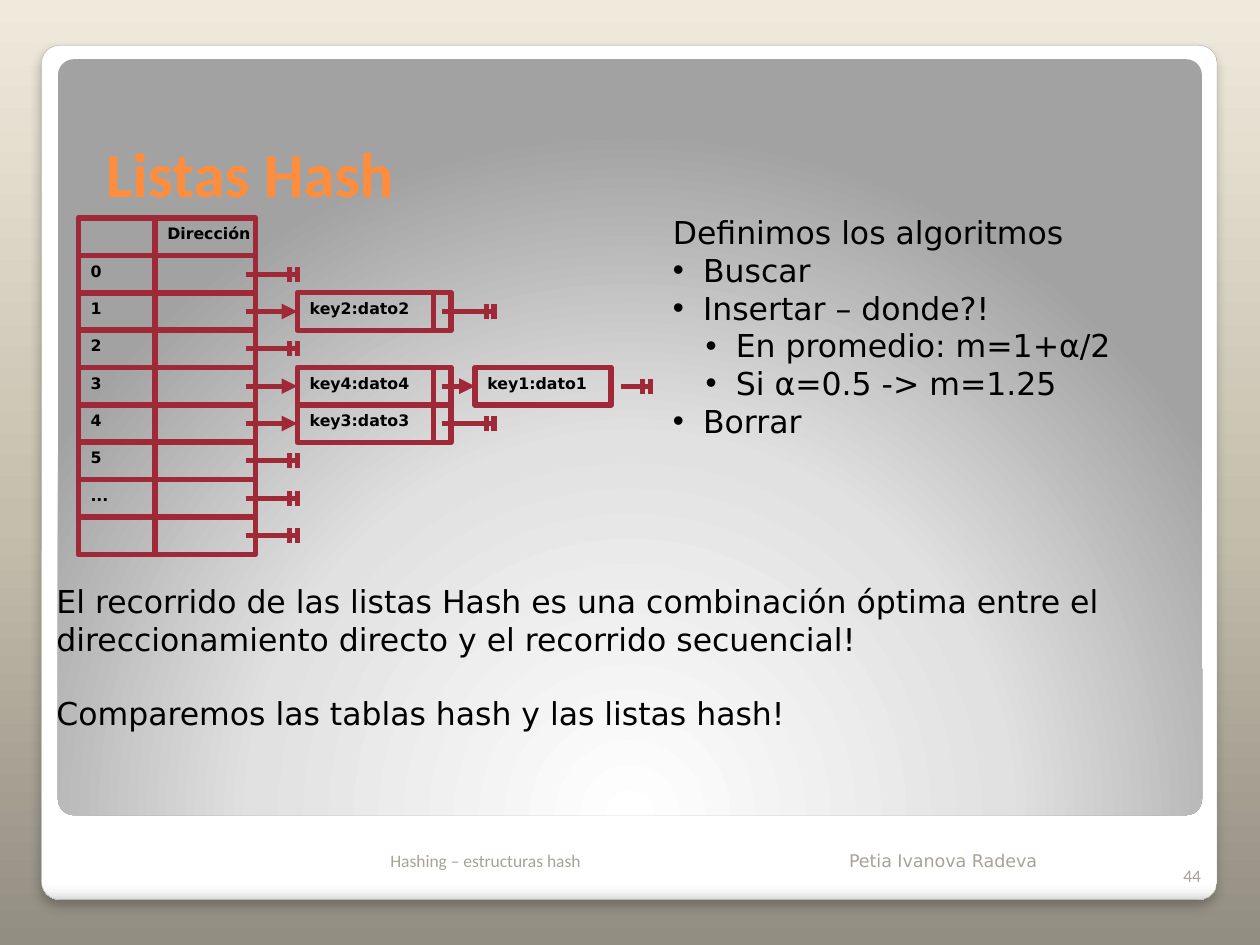
from lxml.etree import SubElement
from pptx import Presentation
from pptx.dml.color import RGBColor
from pptx.enum.shapes import MSO_CONNECTOR, MSO_SHAPE
from pptx.enum.text import MSO_ANCHOR, MSO_AUTO_SIZE, PP_ALIGN
from pptx.oxml import parse_xml
from pptx.oxml.ns import nsdecls, qn
from pptx.util import Inches, Pt

RED = "9F2936"
GREY = "A7A399"
SANS = "DejaVu Sans"
TOP, ROW_H = 1.73, 2.37 / 8
KEY_X, KEY_W = 0.62, 0.61
ADDR_X, ADDR_W = 1.23, 0.8
NODE_X, NODE_W, NEXT_W = 2.36, 1.08, 0.14
ROWS = ["", "0", "1", "2", "3", "4", "5", "...", ""]
NODES = {2: "key2:dato2", 4: "key4:dato4", 5: "key3:dato3"}
ITEMS = [
    ("Definimos los algoritmos", None),
    ("Buscar", 0),
    ("Insertar – donde?!", 0),
    ("En promedio: m=1+α/2", 1),
    ("Si α=0.5 -> m=1.25", 1),
    ("Borrar", 0),
]


def color(value):
    """Turn a hex string into a colour."""
    return RGBColor.from_string(value)


def box(left, top, width, height):
    """Convert a frame in inches to lengths."""
    return [Inches(v) for v in (left, top, width, height)]


def place(shape, left, top, width, height):
    """Move and size a placeholder."""
    shape.left, shape.top, shape.width, shape.height = box(left, top, width, height)


def add_run(p, text, size, hex_color, font=SANS, bold=False):
    """Add one formatted run to a paragraph."""
    r = p.add_run()
    r.text = text
    r.font.size, r.font.name, r.font.bold = Pt(size), font, bold
    r.font.color.rgb = color(hex_color)


def set_gradient(element, fill, stops, direction):
    """Replace a solid fill with a gradient of several stops."""
    fill.solid()
    gs = "".join(
        f'<a:gs pos="{pos * 1000}"><a:srgbClr val="{c}"/></a:gs>' for pos, c in stops
    )
    grad = parse_xml(
        f'<a:gradFill {nsdecls("a")} rotWithShape="1"><a:gsLst>{gs}</a:gsLst>'
        f"{direction}</a:gradFill>"
    )
    solid = element.find(".//" + qn("a:solidFill"))
    solid.getparent().replace(solid, grad)


def add_panel(s, frame, stops, direction):
    """Add a rounded panel with a gradient fill."""
    sp = s.shapes.add_shape(MSO_SHAPE.ROUNDED_RECTANGLE, *box(*frame))
    sp.adjustments[0] = 0.021
    sp.shadow.inherit = False
    sp.line.fill.background()
    set_gradient(sp.element, sp.fill, stops, direction)
    return sp


def add_backdrop(s):
    """Draw the background and the two panels."""
    set_gradient(
        s.element, s.background.fill,
        [(0, "938E82"), (45, "C4BEAD"), (100, "F0EADC")], '<a:lin ang="16200000"/>',
    )
    card = add_panel(
        s, (0.33, 0.36, 9.33, 6.78),
        [(0, "FFFFFF"), (98, "FFFFFF"), (99, "F7F7F7"), (100, "DADADA")],
        '<a:lin ang="5400000"/>',
    )
    card.line.color.rgb = color("A4A4A4")
    card.line.width = Pt(0.16)
    card.element.spPr.find(qn("a:effectLst")).append(parse_xml(
        f'<a:outerShdw {nsdecls("a")} blurRad="{Pt(6)}" dist="{Pt(4)}" dir="5400000">'
        '<a:srgbClr val="000000"><a:alpha val="25000"/></a:srgbClr></a:outerShdw>'
    ))
    panel = add_panel(
        s, (0.46, 0.47, 9.08, 6),
        [(0, "FFFFFF"), (55, "E1E1E1"), (100, "A2A2A2")],
        '<a:path path="circle">'
        '<a:fillToRect l="50000" t="175000" r="50000" b="-75000"/></a:path>',
    )
    for i, sp in enumerate((card, panel)):
        s.shapes.element.insert(2 + i, sp.element)


def add_cell(shapes, left, top, width, text=""):
    """Add an outlined cell with an optional label."""
    sp = shapes.add_shape(MSO_SHAPE.RECTANGLE, *box(left, top, width, 0.3))
    sp.shadow.inherit = False
    sp.fill.background()
    sp.line.color.rgb = color(RED)
    sp.line.width = Pt(3)
    if text:
        tf = sp.text_frame
        tf.word_wrap = True
        tf.margin_right = 0
        tf.vertical_anchor = MSO_ANCHOR.TOP
        p = tf.paragraphs[0]
        p.alignment = PP_ALIGN.LEFT
        add_run(p, text, 9, "000000", bold=True)
    return sp


def add_line(shapes, x1, y1, x2, y2):
    """Add a straight red line."""
    c = shapes.add_connector(MSO_CONNECTOR.STRAIGHT, *box(x1, y1, x2, y2))
    c.line.color.rgb = color(RED)
    c.line.width = Pt(3)
    SubElement(c.element.spPr, qn("a:effectLst"))
    return c


def add_link(shapes, x, y, node):
    """Add an arrow to the left side of a node."""
    c = add_line(shapes, x, y, x + 0.41, y)
    c.end_connect(node, 1)
    SubElement(c.line._get_or_add_ln(), qn("a:tailEnd")).set("type", "triangle")


def add_null(shapes, x, y, length=0.41):
    """Add a line closed by two ticks for an empty pointer."""
    end = x + length
    add_line(shapes, x, y, end, y)
    for tick in (end - 0.06, end):
        add_line(shapes, tick, y + 0.06, tick, y - 0.06)


def add_hash_table(s):
    """Draw the address table and its linked lists."""
    shapes = s.shapes.add_group_shape().shapes
    for i, key in enumerate(ROWS):
        top = TOP + i * ROW_H
        mid = top + 0.15
        add_cell(shapes, KEY_X, top, KEY_W, key)
        add_cell(shapes, ADDR_X, top, ADDR_W, "" if i else "Dirección")
        if i in NODES:
            node = add_cell(shapes, NODE_X, top, NODE_W, NODES[i])
            add_cell(shapes, NODE_X + NODE_W, top, NEXT_W)
            add_link(shapes, 1.95, mid, node)
            if i == 4:
                last = add_cell(shapes, 3.77, top, NODE_W, "key1:dato1")
                add_link(shapes, 3.51, mid, last)
                add_null(shapes, 4.93, mid, 0.23)
            else:
                add_null(shapes, 3.51, mid)
        elif i:
            add_null(shapes, 1.95, mid)


def fill_title(title):
    """Set the slide title."""
    place(title, 0.74, 0.72, 8.2, 1)
    tf = title.text_frame
    tf.vertical_anchor = MSO_ANCHOR.BOTTOM
    p = tf.paragraphs[0]
    p.alignment = PP_ALIGN.LEFT
    add_run(p, "Listas Hash", 36, "FF8D3E", "Calibri", True)


def fill_list(body):
    """Fill the list of algorithms."""
    place(body, 5.24, 1.64, 4.45, 3.1)
    tf = body.text_frame
    tf.auto_size = MSO_AUTO_SIZE.NONE
    for i, (text, level) in enumerate(ITEMS):
        p = tf.add_paragraph() if i else tf.paragraphs[0]
        p.space_before = Pt(0)
        p.level = level or 0
        pPr = p._p.get_or_add_pPr()
        bulleted = level is not None
        pPr.set("marL", str(Inches(0.24 + 0.26 * level) if bulleted else 0))
        pPr.set("indent", str(Inches(-0.24) if bulleted else 0))
        if bulleted:
            SubElement(pPr, qn("a:buFont")).set("typeface", "Arial")
            SubElement(pPr, qn("a:buChar")).set("char", "•")
        else:
            SubElement(pPr, qn("a:buNone"))
        add_run(p, text, 18, "000000")


def add_text(s, frame, texts, size, hex_color, font=SANS,
             anchor=MSO_ANCHOR.TOP, align=PP_ALIGN.LEFT):
    """Add a text box whose paragraphs are one line apart."""
    tf = s.shapes.add_textbox(*box(*frame)).text_frame
    tf.word_wrap = True
    tf.vertical_anchor = anchor
    for i, text in enumerate(texts):
        p = tf.add_paragraph() if i else tf.paragraphs[0]
        p.space_before = Pt(21 if i else 0)
        p.alignment = align
        add_run(p, text, size, hex_color, font)


def main():
    """Build the slide and save it."""
    prs = Presentation()
    prs.slide_width, prs.slide_height = Inches(10), Inches(7.5)
    s = prs.slides.add_slide(prs.slide_layouts[1])
    add_backdrop(s)
    fill_title(s.shapes.title)
    add_hash_table(s)
    fill_list(s.placeholders[1])
    add_text(s, (0.35, 4.57, 9.13, 1.6), [
        "El recorrido de las listas Hash es una combinación óptima entre el "
        "direccionamiento directo y el recorrido secuencial!",
        "Comparemos las tablas hash y las listas hash!",
    ], 18, "000000")
    bottom = MSO_ANCHOR.BOTTOM
    add_text(s, (6.64, 6.56, 2.5, 0.4), ["Petia Ivanova Radeva"], 10, GREY, anchor=bottom)
    add_text(s, (3, 6.56, 2.5, 0.4), ["Hashing – estructuras hash"], 10, GREY, "Calibri", bottom)
    add_text(s, (9.13, 6.68, 0.5, 0.4), ["44"], 10, GREY, "Calibri", bottom, PP_ALIGN.RIGHT)
    prs.save("out.pptx")


if __name__ == "__main__":
    main()
